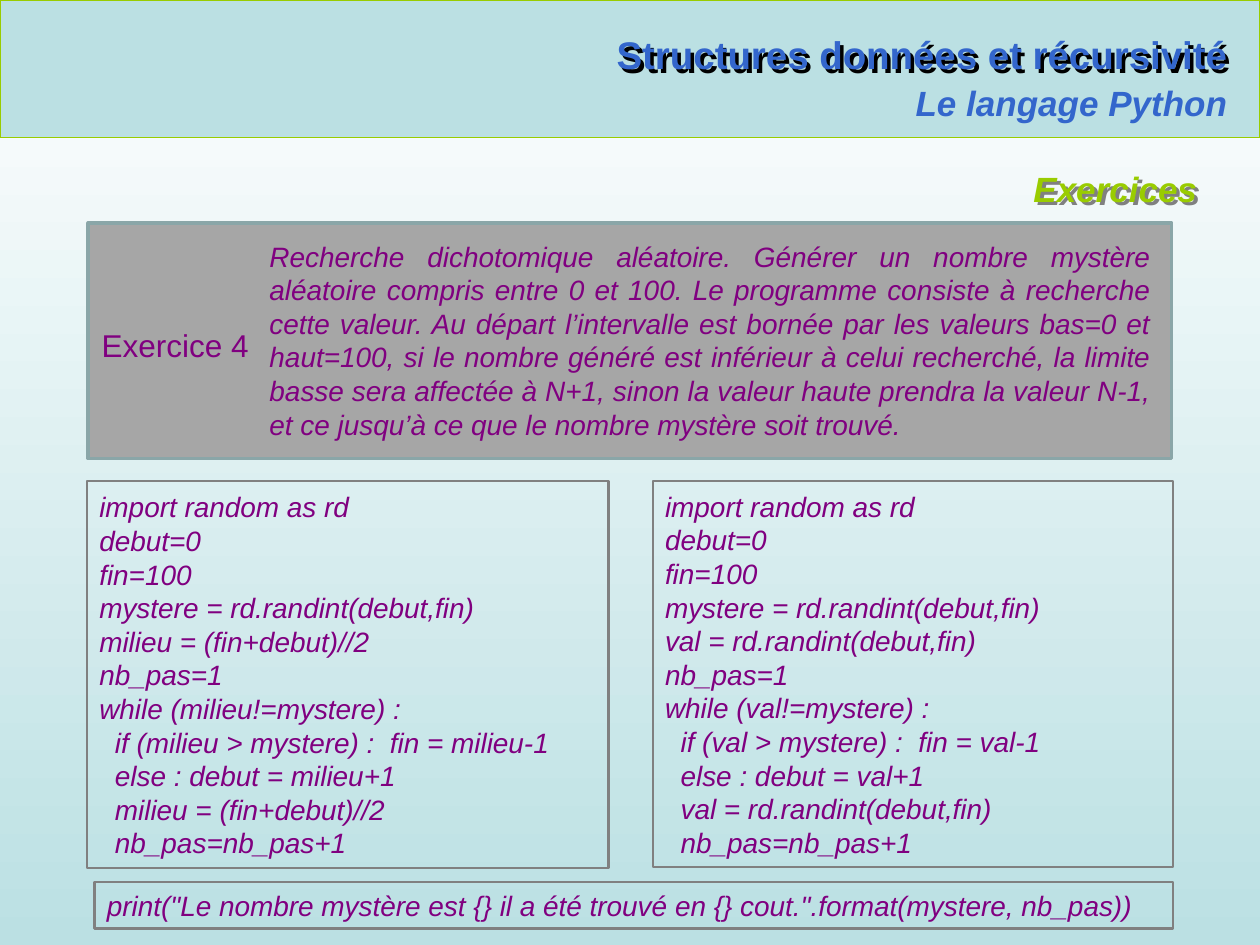
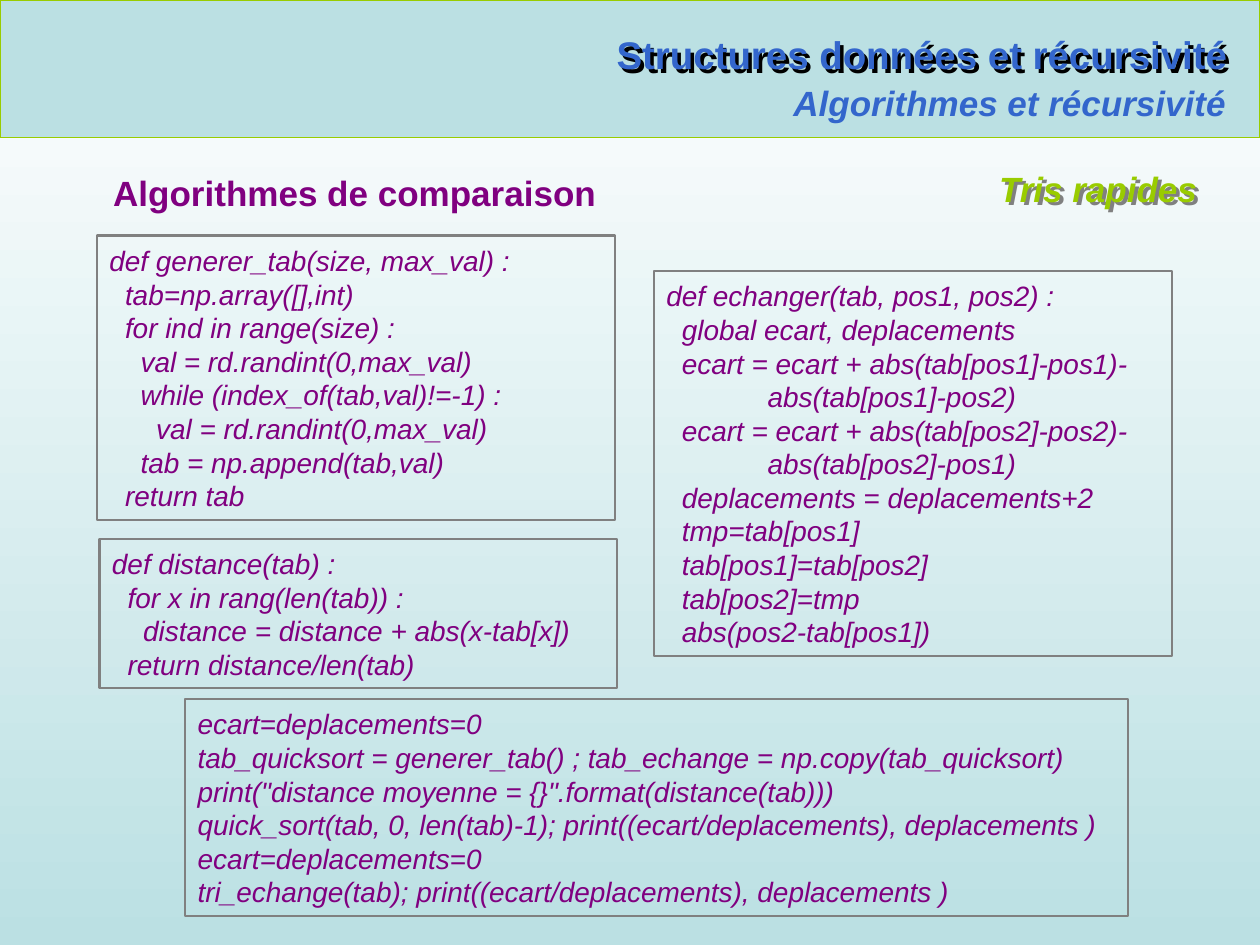
from lxml import etree
from pptx import Presentation
from pptx.dml.color import RGBColor
from pptx.enum.shapes import MSO_CONNECTOR, MSO_SHAPE
from pptx.enum.text import MSO_ANCHOR, MSO_AUTO_SIZE, PP_ALIGN
from pptx.oxml.ns import qn
from pptx.util import Inches, Pt

COURSE = "Structures données et récursivité"

EXERCISE_LABEL = "Exercice 4"
EXERCISE_TEXT = (
    "Recherche dichotomique aléatoire. Générer un nombre mystère aléatoire compris "
    "entre 0 et 100. Le programme consiste à recherche cette valeur. Au départ "
    "l’intervalle est bornée par les valeurs bas=0 et haut=100, si le nombre généré "
    "est inférieur à celui recherché, la limite basse sera affectée à N+1, sinon la "
    "valeur haute prendra la valeur N-1, et ce jusqu’à ce que le nombre mystère soit "
    "trouvé."
)

MIDDLE_SEARCH = """import random as rd
debut=0
fin=100
mystere = rd.randint(debut,fin)
milieu = (fin+debut)//2
nb_pas=1
while (milieu!=mystere) :
  if (milieu > mystere) :  fin = milieu-1
  else : debut = milieu+1
  milieu = (fin+debut)//2
  nb_pas=nb_pas+1"""

RANDOM_SEARCH = """import random as rd
debut=0
fin=100
mystere = rd.randint(debut,fin)
val = rd.randint(debut,fin)
nb_pas=1
while (val!=mystere) :
  if (val > mystere) :  fin = val-1
  else : debut = val+1
  val = rd.randint(debut,fin)
  nb_pas=nb_pas+1"""

RESULT = 'print("Le nombre mystère est {} il a été trouvé en {} cout.".format(mystere, nb_pas))'

GENERATE = """def generer_tab(size, max_val) :
  tab=np.array([],int)
  for ind in range(size) :
    val = rd.randint(0,max_val)
    while (index_of(tab,val)!=-1) :
      val = rd.randint(0,max_val)
    tab = np.append(tab,val)
  return tab"""

DISTANCE = """def distance(tab) :
  for x in rang(len(tab)) :
    distance = distance + abs(x-tab[x])
  return distance/len(tab)"""

SWAP = """def echanger(tab, pos1, pos2) :
  global ecart, deplacements
  ecart = ecart + abs(tab[pos1]-pos1)-
             abs(tab[pos1]-pos2)
  ecart = ecart + abs(tab[pos2]-pos2)-
             abs(tab[pos2]-pos1)
  deplacements = deplacements+2
  tmp=tab[pos1]
  tab[pos1]=tab[pos2]
  tab[pos2]=tmp
  abs(pos2-tab[pos1])"""

COMPARE = """ecart=deplacements=0
tab_quicksort = generer_tab() ; tab_echange = np.copy(tab_quicksort)
print("distance moyenne = {}".format(distance(tab)))
quick_sort(tab, 0, len(tab)-1); print((ecart/deplacements), deplacements )
ecart=deplacements=0
tri_echange(tab); print((ecart/deplacements), deplacements )"""

# Code blocks: text, then left, top, width, height in inches
SEARCH_BLOCKS = [
    (MIDDLE_SEARCH, (0.69, 3.82, 4.14, 3.07)),
    (RESULT, (0.75, 7, 8.56, 0.37)),
    (RANDOM_SEARCH, (5.18, 3.82, 4.13, 3.06)),
]
SORT_BLOCKS = [
    (GENERATE, (0.77, 1.87, 4.11, 2.26)),
    (DISTANCE, (0.79, 4.28, 4.11, 1.18)),
    (SWAP, (5.19, 2.15, 4.11, 3.06)),
    (COMPARE, (1.47, 5.55, 7.48, 1.72)),
]

FONT = "Arial"
CODE_SIZE = 16
SPACE_WIDTH = Pt(CODE_SIZE * 0.278)
WHITE = RGBColor(0xFF, 0xFF, 0xFF)
PALE_BLUE = RGBColor(0xBB, 0xE0, 0xE3)
BLUE = RGBColor(0x33, 0x66, 0xCC)
GREEN = RGBColor(0x99, 0xCC, 0x00)
PURPLE = RGBColor(0x80, 0x00, 0x80)
BLACK = RGBColor(0x00, 0x00, 0x00)
GRAY = RGBColor(0x80, 0x80, 0x80)
PANEL_GRAY = RGBColor(0xA6, 0xA6, 0xA6)
PANEL_EDGE = RGBColor(0x8A, 0xA6, 0xA8)


def inches(place):
    return [Inches(value) for value in place]


def write(shape, text, size=CODE_SIZE, color=PURPLE, bold=False, italic=False,
          align=PP_ALIGN.LEFT, anchor=MSO_ANCHOR.TOP, wrap=True, space_after=0):
    """Put one paragraph per line, turning leading spaces into an indent."""
    frame = shape.text_frame
    frame.word_wrap = wrap
    frame.auto_size = MSO_AUTO_SIZE.SHAPE_TO_FIT_TEXT
    frame.vertical_anchor = anchor
    for index, line in enumerate(text.split("\n")):
        paragraph = frame.add_paragraph() if index else frame.paragraphs[0]
        paragraph.alignment = align
        paragraph.space_after = Pt(space_after)
        code = line.lstrip()
        depth = len(line) - len(code)
        if depth:
            properties = paragraph._p.get_or_add_pPr()
            properties.set("marL", str(depth * SPACE_WIDTH))
            properties.set("indent", "0")
        run = paragraph.add_run()
        run.text = code
        font = run.font
        font.name, font.size = FONT, Pt(size)
        font.bold, font.italic = bold, italic
        font.color.rgb = color


def add_text(slide, text, place, **text_format):
    box = slide.shapes.add_textbox(*inches(place))
    write(box, text, **text_format)
    return box


def add_rectangle(slide, place, line, line_width, fill=None):
    shape = slide.shapes.add_shape(MSO_SHAPE.RECTANGLE, *inches(place))
    shape.shadow.inherit = False
    if fill is None:
        shape.fill.background()
    else:
        shape.fill.solid()
        shape.fill.fore_color.rgb = fill
    shape.line.color.rgb = line
    shape.line.width = Pt(line_width)
    return shape


def cast_shadow(shape, color):
    """Give the text of an unfilled box a hard shadow to the lower right."""
    effects = etree.SubElement(shape._element.spPr, qn("a:effectLst"))
    shadow = etree.SubElement(effects, qn("a:outerShdw"), dist="35921",
                              dir="2700000", algn="ctr", rotWithShape="0")
    etree.SubElement(shadow, qn("a:srgbClr"), val=str(color))


def add_base_slide(presentation, chapter, chapter_place, topic):
    slide = presentation.slides.add_slide(presentation.slide_layouts[6])
    background = slide.background.fill
    background.gradient()
    background.gradient_angle = 270
    for stop, position, color in zip(background.gradient_stops, (0, 1), (WHITE, PALE_BLUE)):
        stop.position = position
        stop.color.rgb = color

    add_rectangle(slide, (0, 0, 10, 1.09), GREEN, 0.75, PALE_BLUE)
    title = add_text(slide, COURSE, (4.73, 0.2, 5.11, 0.47), size=22, color=BLUE,
                     bold=True, align=PP_ALIGN.RIGHT, wrap=False)
    cast_shadow(title, BLACK)
    add_text(slide, chapter, chapter_place, size=20, color=BLUE, bold=True,
             italic=True, align=PP_ALIGN.RIGHT, wrap=False)

    rule = slide.shapes.add_connector(MSO_CONNECTOR.STRAIGHT,
                                      *inches((0.34, 1.09, 9.76, 1.09)))
    rule.line.color.rgb = GREEN
    rule.line.width = Pt(0.75)
    etree.SubElement(rule._element.spPr, qn("a:effectLst"))

    heading = add_text(slide, topic, (4.2, 1.28, 5.4, 0.44), size=20, color=GREEN,
                       bold=True, italic=True, align=PP_ALIGN.RIGHT)
    cast_shadow(heading, GRAY)
    return slide


def add_code_blocks(slide, blocks):
    for code, place in blocks:
        write(add_rectangle(slide, place, GRAY, 1.25), code, italic=True,
              anchor=MSO_ANCHOR.MIDDLE)


def add_exercise_slide(presentation):
    slide = add_base_slide(presentation, "Le langage Python", (7.14, 0.6, 2.7, 0.44),
                           "Exercices")
    add_rectangle(slide, (0.7, 1.77, 8.6, 1.87), PANEL_EDGE, 2, PANEL_GRAY)
    add_text(slide, EXERCISE_LABEL, (0.7, 2.54, 1.38, 0.42), size=18,
             align=PP_ALIGN.CENTER, wrap=False)
    add_text(slide, EXERCISE_TEXT, (2.04, 1.85, 7.19, 1.8), italic=True,
             align=PP_ALIGN.JUSTIFY)
    add_code_blocks(slide, SEARCH_BLOCKS)


def add_sort_slide(presentation):
    slide = add_base_slide(presentation, "Algorithmes et récursivité",
                           (6.1, 0.6, 3.73, 0.44), "Tris rapides")
    add_code_blocks(slide, SORT_BLOCKS)
    add_text(slide, "Algorithmes de comparaison", (0.8, 1.31, 4.12, 0.44), size=20,
             bold=True, align=PP_ALIGN.JUSTIFY, wrap=False, space_after=12)


def main():
    presentation = Presentation()
    presentation.slide_width, presentation.slide_height = Inches(10), Inches(7.5)
    add_exercise_slide(presentation)
    add_sort_slide(presentation)
    presentation.save("out.pptx")


if __name__ == "__main__":
    main()
